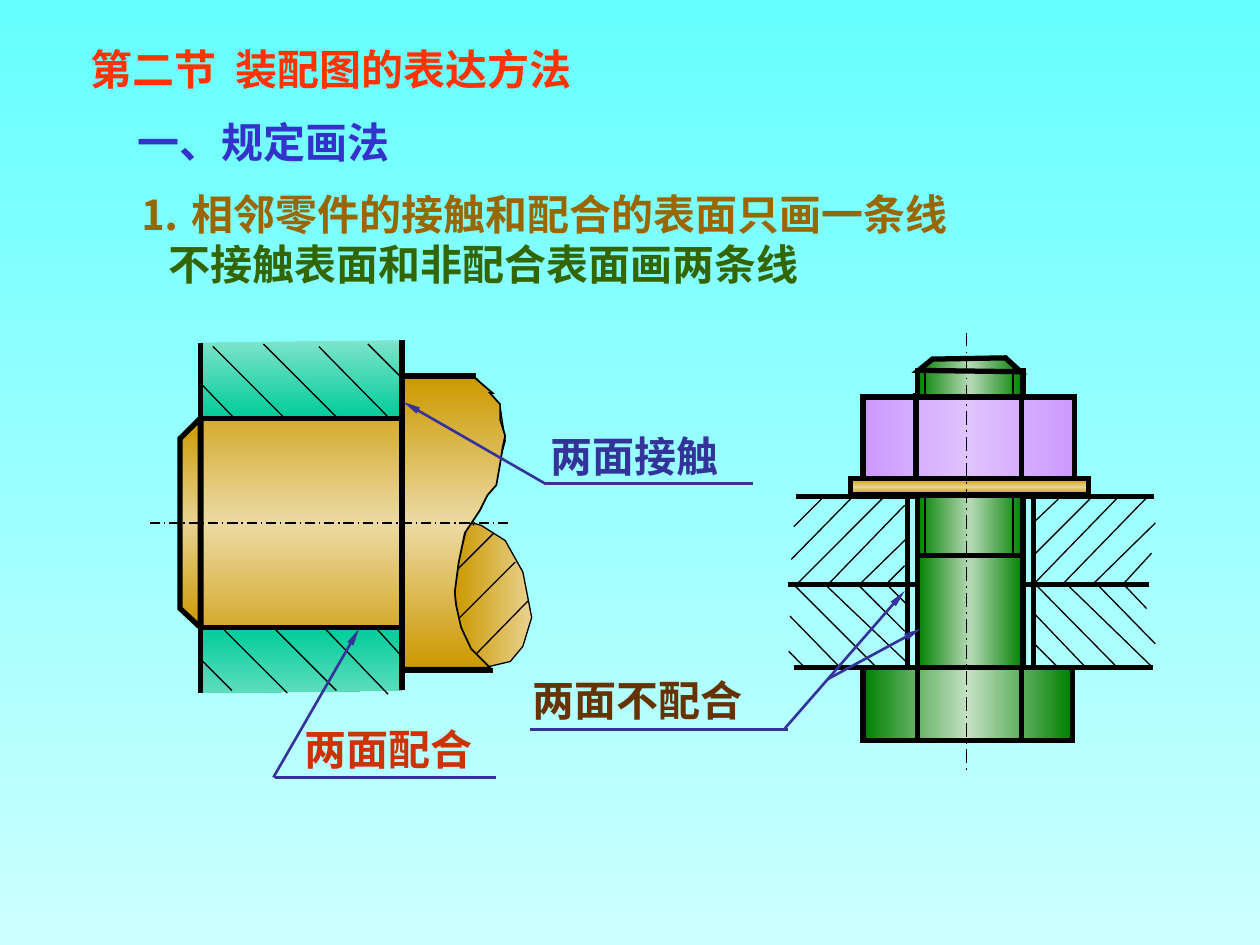
from lxml.etree import SubElement
from pptx import Presentation
from pptx.dml.color import RGBColor
from pptx.enum.dml import MSO_LINE
from pptx.enum.shapes import MSO_CONNECTOR, MSO_SHAPE
from pptx.enum.text import MSO_ANCHOR
from pptx.oxml.ns import qn
from pptx.util import Cm, Pt

COLOURS = {
    "sky": "66FFFF", "pale sky": "CCFFFF", "black": "000000",
    "title": "FF3300", "heading": "3333CC", "rule one": "996600", "rule two": "336600",
    "leader": "333399", "fit": "CC3300", "no fit": "663300",
    "green": "008000", "shine": "B7DAB7", "head shine": "C4E1C4",
    "violet": "CC99FF", "pale violet": "E0C2FE",
    "brass": "CC9900", "pale brass": "E8D290", "shaft shine": "ECDAA4",
    "teal": "00CC99", "top teal": "7DE4CA", "low teal": "5DDDBD",
}
THICK, MEDIUM, THIN, LEADER = 3, 1, 0.75, 1.5


def length(inches):
    return Cm(inches * 2.54)


def colour(name):
    return RGBColor.from_string(COLOURS[name])


class Drawing:
    """Holds the text style and the page being drawn; places are in inches."""
    font_name = "Noto Sans CJK SC"
    font_size = Pt(24)
    line_height = Pt(29)

    def __init__(self, page):
        self.page = page

    def gradient(self, fill, element, angle, names):
        """Spread the named colours evenly along a clockwise angle."""
        fill.gradient()
        fill.gradient_angle = (360 - angle) % 360
        stops = next(element.iter(qn("a:gsLst")))
        for stop in list(stops):
            stops.remove(stop)
        for index, name in enumerate(names):
            position = 100000 * index // (len(names) - 1)
            stop = SubElement(stops, qn("a:gs"), pos=str(position))
            SubElement(stop, qn("a:srgbClr"), val=COLOURS[name])

    def background(self, angle, *names):
        self.gradient(self.page.background.fill, self.page._element, angle, names)

    def finish(self, shape, angle, names, width):
        shape.shadow.inherit = False
        self.gradient(shape.fill, shape._element, angle, names)
        shape.line.color.rgb = colour("black")
        shape.line.width = Pt(width)
        SubElement(shape._element.spPr.find(qn("a:ln")), qn("a:miter"), lim="800000")

    def rectangle(self, place, angle, *names):
        shape = self.page.shapes.add_shape(MSO_SHAPE.RECTANGLE, *map(length, place))
        self.finish(shape, angle, names, THICK)

    def outline(self, points, angle, *names, width=THICK, close=True):
        corners = [(length(x), length(y)) for x, y in points]
        builder = self.page.shapes.build_freeform(*corners[0], scale=1.0)
        builder.add_line_segments(corners[1:], close=close)
        self.finish(builder.convert_to_shape(), angle, names, width)

    def line(self, ends, width=THICK, name="black", dashed=False, arrow=False):
        """Draw a line; an arrow points at its first end."""
        connector = self.page.shapes.add_connector(
            MSO_CONNECTOR.STRAIGHT, *map(length, ends))
        connector.line.color.rgb = colour(name)
        connector.line.width = Pt(width)
        if dashed:
            connector.line.dash_style = MSO_LINE.LONG_DASH_DOT
        properties = connector._element.spPr
        if arrow:
            SubElement(properties.find(qn("a:ln")), qn("a:headEnd"),
                       type="triangle", w="sm", len="lg")
        SubElement(properties, qn("a:effectLst"))

    def lines(self, all_ends, width=THICK):
        for ends in all_ends:
            self.line(ends, width)

    def text(self, place, *paragraphs, anchor=MSO_ANCHOR.TOP, tab=None):
        """Add a box of (wording, colour name, indent) paragraphs."""
        box = self.page.shapes.add_textbox(*map(length, place))
        frame = box.text_frame
        frame.word_wrap = True
        frame.vertical_anchor = anchor
        frame.margin_left = frame.margin_right = Cm(0.25)
        frame.margin_top = frame.margin_bottom = Cm(0.13)
        for index, (wording, name, indent) in enumerate(paragraphs):
            paragraph = frame.add_paragraph() if index else frame.paragraphs[0]
            paragraph.text = wording
            paragraph.line_spacing = self.line_height
            properties = paragraph._p.get_or_add_pPr()
            properties.set("marL", str(length(indent)))
            if tab:
                tabs = SubElement(properties, qn("a:tabLst"))
                SubElement(tabs, qn("a:tab"), pos=str(length(tab)), algn="l")
            font = paragraph.font
            font.name, font.size, font.bold = self.font_name, self.font_size, True
            font.color.rgb = colour(name)
            SubElement(properties.find(qn("a:defRPr")), qn("a:ea"),
                       typeface=self.font_name)

    def label(self, left, top, wording, name):
        """Add one line of text in a box just wider than its characters."""
        width = len(wording) * self.font_size.inches + 0.25
        self.text((left, top, width, 0.5), (wording, name, 0))

    def leader(self, *ends, arrow=True):
        self.line(ends, LEADER, "leader", arrow=arrow)


def draw_headings(drawing):
    drawing.text((0.62, 0.34, 7.06, 0.4), ("第二节\t装配图的表达方法", "title", 0),
                 anchor=MSO_ANCHOR.MIDDLE, tab=1.15)
    drawing.label(0.99, 0.87, "一、规定画法", "heading")
    drawing.text((0.94, 1.44, 7.7, 0.9),
                 ("⒈ 相邻零件的接触和配合的表面只画一条线", "rule one", 0.07),
                 ("不接触表面和非配合表面画两条线", "rule two", 0.3))


def draw_bolt(drawing):
    drawing.lines([(6.32, 3.94, 9.16, 3.94), (6.25, 4.64, 9.12, 4.64)])
    drawing.rectangle((7.28, 2.94, 0.84, 2.36), 180, "green", "shine", "green")
    drawing.lines([(6.3, 5.3, 9.15, 5.3), (7.2, 3.96, 7.2, 5.3),
                   (8.2, 3.96, 8.2, 5.3), (7.27, 4.41, 8.13, 4.41)])
    drawing.lines([(x, 2.88, x, 4.41) for x in (7.34, 8.04)], MEDIUM)
    upper_hatch = [
        (8.19, 4.16, 8.4, 3.96), (8.21, 4.63, 8.87, 3.95), (8.21, 4.4, 8.65, 3.96),
        (8.44, 4.63, 9.12, 3.93), (8.68, 4.63, 9.17, 4.15), (8.92, 4.63, 9.14, 4.39),
        (7.05, 4.62, 7.18, 4.49), (6.58, 4.63, 7.18, 4.01), (6.83, 4.63, 7.2, 4.27),
        (6.33, 4.63, 7.02, 3.94), (6.28, 4.44, 6.8, 3.91), (6.3, 4.18, 6.52, 3.96)]
    lower_hatch = [
        (7.05, 4.65, 7.21, 4.81), (6.8, 4.63, 7.18, 5.01), (6.56, 4.65, 7.2, 5.26),
        (6.31, 4.65, 6.96, 5.3), (6.27, 4.89, 6.67, 5.3), (6.26, 5.17, 6.39, 5.3),
        (8.21, 5.11, 8.4, 5.3), (8.19, 4.85, 8.62, 5.3), (8.21, 4.63, 8.87, 5.3),
        (8.46, 4.63, 9.13, 5.28), (8.7, 4.63, 9.17, 5.11), (8.92, 4.64, 9.1, 4.83)]
    drawing.lines(upper_hatch + lower_hatch, THIN)
    drawing.rectangle((6.85, 3.15, 1.68, 0.65), 180, "violet", "pale violet", "violet")
    drawing.rectangle((6.75, 3.8, 1.89, 0.13), 90, "brass", "pale brass", "brass")
    drawing.lines([(7.27, 3.12, 7.27, 3.81), (8.11, 3.15, 8.11, 3.78)])
    drawing.rectangle((6.85, 5.3, 1.66, 0.58), 180, "green", "head shine", "green")
    drawing.lines([(x, 5.3, x, 5.88) for x in (7.28, 8.11)])
    drawing.outline([(7.29, 2.94), (8.1, 2.95), (7.98, 2.84), (7.4, 2.85)],
                    180, "green", "shine", "green")
    drawing.line((7.67, 2.64, 7.67, 6.13), MEDIUM, dashed=True)


def draw_shaft(drawing):
    left, right, top, bottom = 1.59, 3.19, 3.32, 4.98
    drawing.lines([(right, 2.98, 3.78, 2.98), (right, 5.32, 3.91, 5.32)])
    broken_end = [
        (3.78, 3), (3.97, 3.23), (4.01, 3.5), (3.91, 3.86), (3.7, 4.21), (3.61, 4.57),
        (3.61, 4.72), (3.63, 4.9), (3.72, 5.13), (3.88, 5.29), (4.05, 5.25),
        (4.15, 5.13), (4.22, 4.9), (4.15, 4.54), (4.01, 4.29), (3.82, 4.17),
        (3.75, 4.15), (3.76, 4.17)]
    drawing.outline(broken_end, 180, "pale brass", "brass", width=THIN, close=False)
    drawing.lines([(3.92, 4.23, 3.61, 4.54), (4.09, 4.46, 3.61, 4.94),
                   (4.19, 4.77, 3.78, 5.19)], THIN)
    drawing.outline([(left, bottom), (1.43, 4.83), (1.43, 3.48), (left, top)],
                    90, "brass", "pale brass", "brass")
    body = [
        (3.77, 3), (3.91, 3.12), (3.89, 3.12), (3.97, 3.21), (3.97, 3.33), (4.01, 3.46),
        (3.99, 3.55), (3.97, 3.68), (3.94, 3.85), (3.87, 3.93), (3.81, 4.05),
        (3.69, 4.23), (3.64, 4.47), (3.61, 4.7), (3.62, 4.8), (3.66, 4.98),
        (3.74, 5.15), (3.89, 5.3), (right, 5.3), (right, bottom), (1.61, 4.97),
        (1.61, 3.31), (right, top), (right, 3)]
    drawing.outline(body, 90, "brass", "shaft shine", "brass", width=MEDIUM)
    drawing.outline([(left, 5.5), (left, bottom), (right, bottom), (right, 5.48)],
                    90, "teal", "low teal", close=False)
    drawing.outline([(left, 2.72), (left, top), (right, top), (right, 2.7)],
                    90, "top teal", "teal", close=False)
    drawing.lines([(x, 2.73, x, 5.46) for x in (left, right)])
    drawing.lines([(left, y, right, y) for y in (top, bottom)])
    drawing.lines([
        (1.59, 3.04, 1.86, 3.32), (1.69, 2.75, 2.26, 3.32), (2.09, 2.73, 2.69, 3.33),
        (2.53, 2.75, 3.09, 3.32), (2.92, 2.73, 3.19, 3), (2.98, 4.98, 3.19, 5.21),
        (2.59, 5, 3.08, 5.51), (2.19, 5, 2.67, 5.48), (1.78, 5, 2.28, 5.5),
        (1.59, 5.23, 1.84, 5.48)], THIN)
    drawing.line((1.19, 4.15, 4.06, 4.15), THIN, dashed=True)


def draw_labels(drawing):
    drawing.label(4.13, 5.3, "两面不配合", "no fit")
    drawing.leader(7.18, 4.69, 6.23, 5.78)
    drawing.leader(4.21, 5.79, 6.25, 5.79, arrow=False)
    drawing.leader(7.31, 4.99, 6.57, 5.39)
    drawing.label(4.27, 3.36, "两面接触", "leader")
    drawing.leader(4.32, 3.84, 5.98, 3.84, arrow=False)
    drawing.leader(3.2, 3.19, 4.33, 3.84)
    drawing.label(2.32, 5.69, "两面配合", "fit")
    drawing.leader(2.18, 6.17, 3.94, 6.17, arrow=False)
    drawing.leader(2.85, 4.99, 2.17, 6.17)


def main():
    deck = Presentation()
    deck.slide_width, deck.slide_height = Cm(25.4), Cm(19.05)
    drawing = Drawing(deck.slides.add_slide(deck.slide_layouts[6]))
    drawing.background(90, "sky", "pale sky")
    draw_headings(drawing)
    draw_bolt(drawing)
    draw_shaft(drawing)
    draw_labels(drawing)
    deck.save("out.pptx")


if __name__ == "__main__":
    main()
